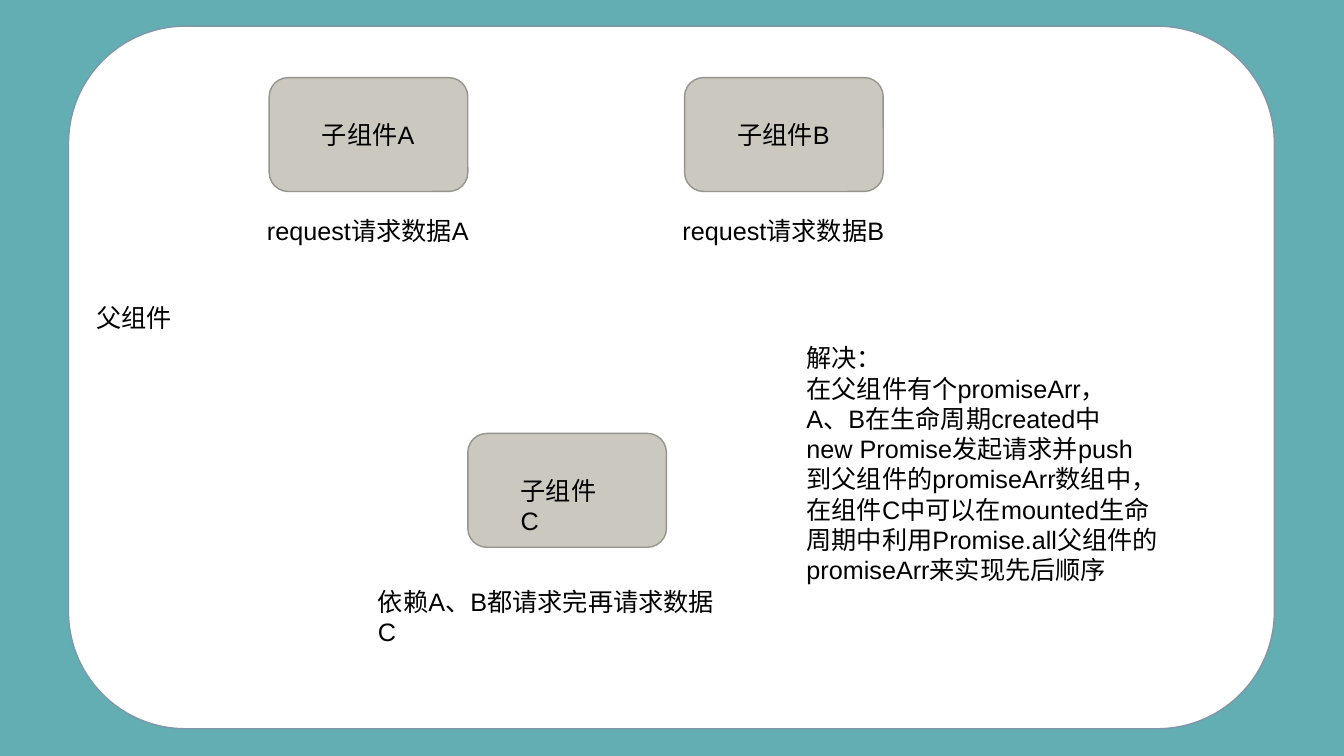
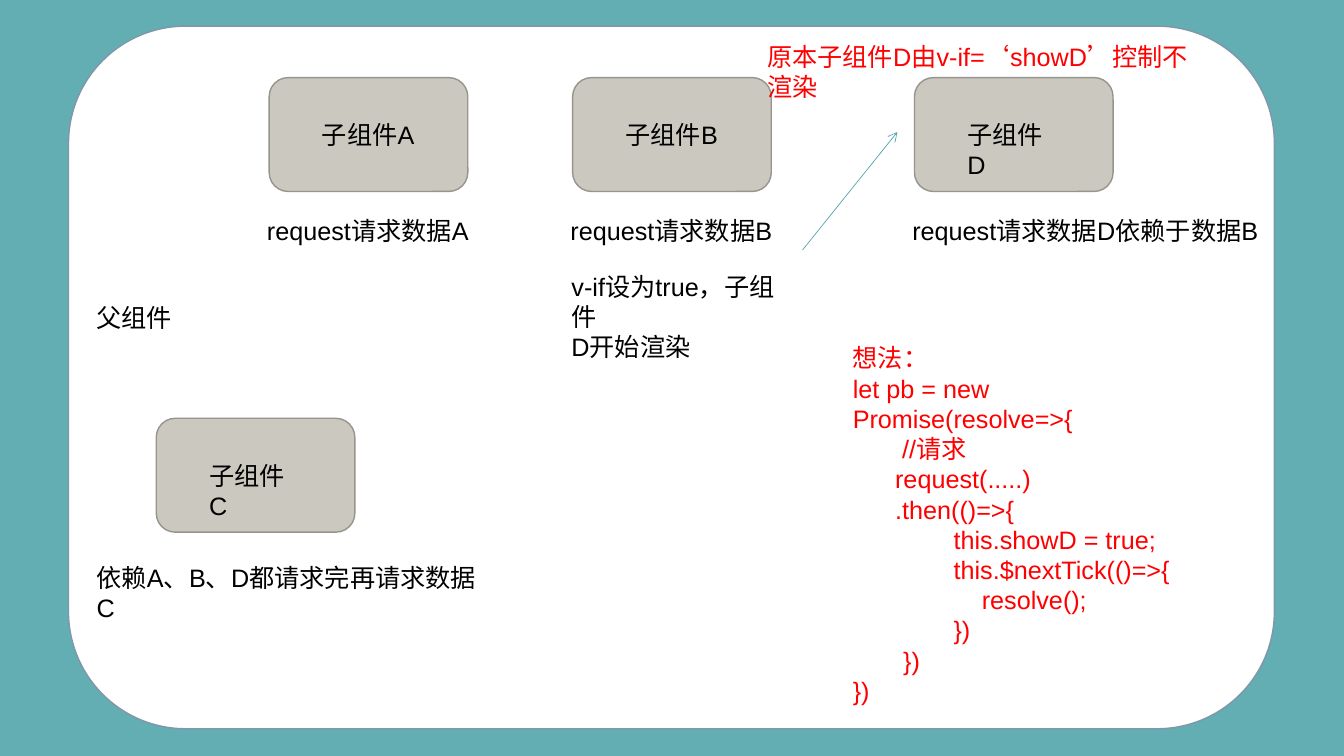
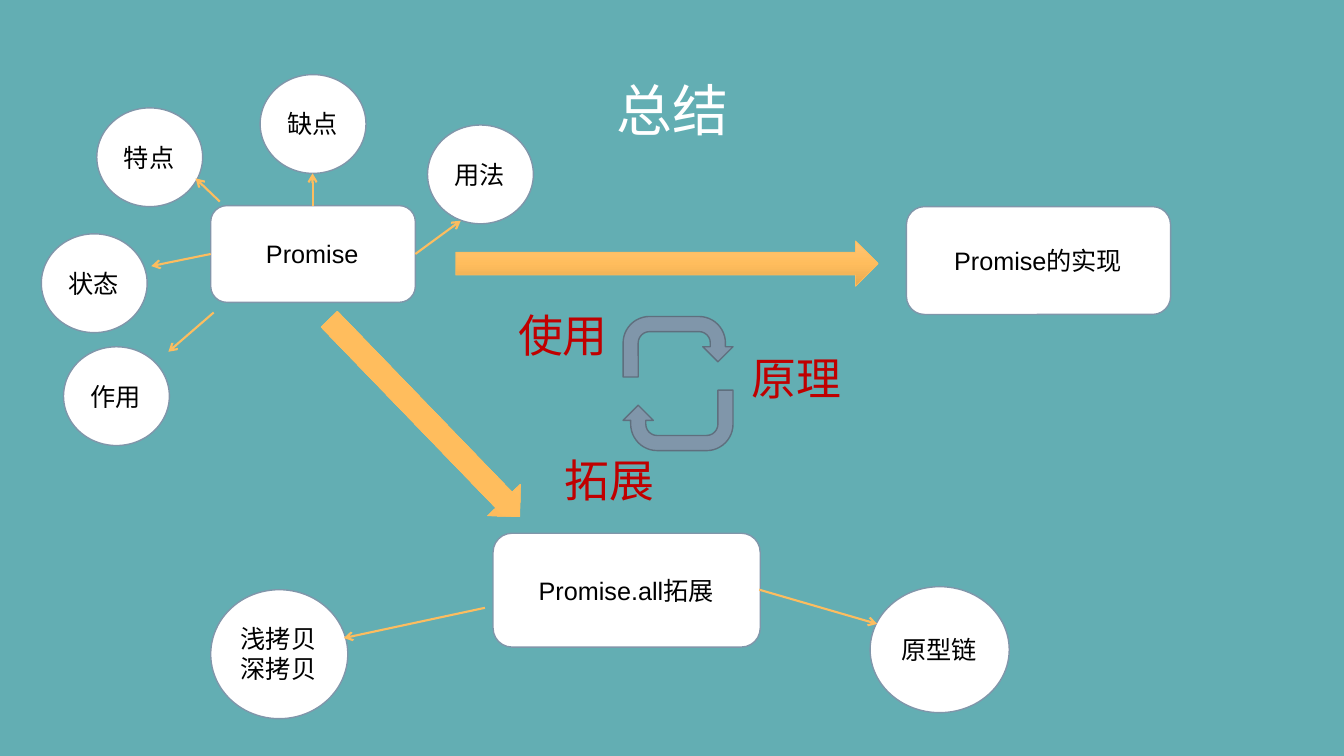
import copy

import pptx
import pptx.dml.color
import pptx.enum.dml
import pptx.enum.shapes
import pptx.enum.text
import pptx.oxml.ns
import pptx.oxml.xmlchemy
import pptx.util

Inches = pptx.util.Inches
Pt = pptx.util.Pt
RGB = pptx.dml.color.RGBColor
SHAPE = pptx.enum.shapes.MSO_SHAPE
ALIGN = pptx.enum.text.PP_ALIGN
ANCHOR = pptx.enum.text.MSO_ANCHOR

TEAL = RGB(0x63, 0xAE, 0xB3)
DEEP_TEAL = RGB(0x53, 0xA6, 0xAC)
WHITE = RGB(0xFF, 0xFF, 0xFF)
BLACK = RGB(0x00, 0x00, 0x00)
RED = RGB(0xFF, 0x00, 0x00)
DARK_RED = RGB(0xC0, 0x00, 0x00)
SLATE = RGB(0x80, 0x96, 0xAA)
DARK_SLATE = RGB(0x5F, 0x6F, 0x7E)
STONE = RGB(0xCB, 0xC8, 0xBF)
DARK_STONE = RGB(0x96, 0x94, 0x8D)
ORANGE = RGB(0xFD, 0xBD, 0x5F)
ARROW_STOPS = [
    (0, RGB(0xFF, 0xC5, 0x76)),
    (0.5, RGB(0xFF, 0xBD, 0x5D)),
    (1, RGB(0xE5, 0xA9, 0x50)),
]

FONT = "Arial"
CHILD_SIZE = (1.97, 1.13)
TOPIC_SIZE = (1.05, 0.98)
LINE_HEIGHT = 0.31


def set_format(target, values):
    for name, value in values.items():
        setattr(target, name, value)


def add_text(slide, box, lines, size=18, color=BLACK, frame={}, para={}, indents=None):
    sp = slide.shapes.add_textbox(*map(Inches, box))
    tf = sp.text_frame
    set_format(tf, {"word_wrap": True, **frame})
    for i, line in enumerate(lines.split("\n")):
        p = tf.add_paragraph() if i else tf.paragraphs[0]
        set_format(p, para)
        if indents and indents[i]:
            p._p.get_or_add_pPr().set("marL", str(Inches(indents[i])))
        r = p.add_run()
        r.text = line
        set_format(r.font, {"name": FONT, "size": Pt(size)})
        r.font.color.rgb = color
    return sp


def add_figure(slide, kind, box, fill=WHITE, line=SLATE, width=1, rotation=0):
    sp = slide.shapes.add_shape(kind, *map(Inches, box))
    sp.shadow.inherit = False
    sp.rotation = rotation
    sp.fill.solid()
    sp.fill.fore_color.rgb = fill
    sp.line.color.rgb = line
    sp.line.width = Pt(width)
    return sp


def add_node(slide, kind, box, label, label_width, **style):
    left, top, width, height = box
    add_figure(slide, kind, box, **style)
    label_height = 0.09 + LINE_HEIGHT * len(label.split("\n"))
    add_text(slide, (left + (width - label_width) / 2, top + (height - label_height) / 2,
                     label_width, label_height), label)


def add_arrow(slide, start, end, color=ORANGE, width=1.5):
    c = slide.shapes.add_connector(pptx.enum.shapes.MSO_CONNECTOR.STRAIGHT,
                                   *map(Inches, start + end))
    c.line.color.rgb = color
    c.line.width = Pt(width)
    tail = c.line._get_or_add_ln().makeelement(pptx.oxml.ns.qn("a:tailEnd"), {"type": "arrow"})
    c.line._get_or_add_ln().append(tail)
    sp_pr = c._element.spPr
    sp_pr.append(sp_pr.makeelement(pptx.oxml.ns.qn("a:effectLst"), {}))


def add_block_arrow(slide, box, rotation=0):
    sp = add_figure(slide, SHAPE.RIGHT_ARROW, box, line=ORANGE, width=0.5, rotation=rotation)
    sp.fill.gradient()
    sp.fill.gradient_angle = 270
    stops = sp._element.spPr.find(".//" + pptx.oxml.ns.qn("a:gsLst"))
    stops.append(copy.deepcopy(stops[-1]))
    for stop, (position, color) in zip(sp.fill.gradient_stops, ARROW_STOPS):
        stop.position = position
        stop.color.rgb = color


def add_parent(slide):
    add_figure(slide, SHAPE.ROUNDED_RECTANGLE, (0.68, 0.26, 11.96, 6.97))
    add_text(slide, (0.86, 2.95, 0.96, 0.4), "父组件")


def add_child(slide, left, top, letter, request, offset=(-0.12, 1.32), width=2.2):
    add_node(slide, SHAPE.ROUNDED_RECTANGLE, (left, top) + CHILD_SIZE, "子组件" + letter, 1.12,
             fill=STONE, line=DARK_STONE)
    add_text(slide, (left + offset[0], top + offset[1], width, 0.4), request)


def build_order_slide(slide):
    add_parent(slide)
    add_child(slide, 2.67, 0.77, "A", "request请求数据A")
    add_child(slide, 6.79, 0.77, "B", "request请求数据B")
    add_child(slide, 4.64, 4.3, "C", "依赖A、B都请求完再请求数据C", (-0.99, 1.47), 3.71)
    add_text(slide, (7.9, 3.35, 4.75, 2.52),
             "解决：\n在父组件有个promiseArr，\nA、B在生命周期created中\n"
             "new Promise发起请求并push\n到父组件的promiseArr数组中，\n"
             "在组件C中可以在mounted生命\n周期中利用Promise.all父组件的\n"
             "promiseArr来实现先后顺序")


def build_render_slide(slide):
    add_parent(slide)
    add_child(slide, 2.67, 0.77, "A", "request请求数据A")
    add_child(slide, 5.68, 0.77, "B", "request请求数据B")
    add_child(slide, 1.55, 4.15, "C", "依赖A、B、D都请求完再请求数据C", (-0.69, 1.38), 4.14)
    add_child(slide, 9.07, 0.77, "D", "request请求数据D依赖于数据B", width=3.67)
    add_text(slide, (7.51, 0.36, 4.48, 0.4), "原本子组件D由v-if=‘showD’控制不渲染", color=RED)
    add_text(slide, (5.57, 2.64, 2.46, 0.71), "v-if设为true，子组件\nD开始渲染")
    add_arrow(slide, (7.96, 2.48), (8.9, 1.31), DEEP_TEAL, 0.5)
    add_text(slide, (8.36, 3.35, 3.8, 3.73),
             "想法：\nlet pb = new Promise(resolve=>{\n//请求\nrequest(.....)\n.then(()=>{\n"
             "this.showD = true;\nthis.$nextTick(()=>{\nresolve();\n})\n})\n})",
             color=RED, indents=[0, 0, 0.49, 0.42, 0.42, 1, 1, 1.28, 1, 0.5, 0])


def build_topics(slide):
    add_node(slide, SHAPE.ROUNDED_RECTANGLE, (2.09, 2.04, 2.03, 0.96), "Promise", 1.13)
    topics = [
        ("作用", (0.63, 3.44), (2.12, 3.1), (1.67, 3.49)),
        ("状态", (0.41, 2.32), (2.09, 2.52), (1.5, 2.64)),
        ("特点", (0.96, 1.07), (2.18, 2), (1.94, 1.77)),
        ("缺点", (2.58, 0.74), (3.1, 2.04), (3.1, 1.72)),
        ("用法", (4.24, 1.24), (4.12, 2.52), (4.57, 2.19)),
    ]
    for label, corner, start, end in topics:
        add_node(slide, SHAPE.OVAL, corner + TOPIC_SIZE, label, 0.71)
        add_arrow(slide, start, end)


def build_extension(slide):
    add_node(slide, SHAPE.ROUNDED_RECTANGLE, (4.89, 5.29, 2.65, 1.13), "Promise.all拓展", 1.94)
    add_node(slide, SHAPE.OVAL, (2.09, 5.85, 1.36, 1.28), "浅拷贝\n深拷贝", 0.96)
    add_arrow(slide, (4.81, 6.03), (3.41, 6.33))
    add_node(slide, SHAPE.OVAL, (8.63, 5.82, 1.38, 1.25), "原型链", 0.96)
    add_arrow(slide, (7.53, 5.85), (8.7, 6.19))


def build_cycle(slide):
    for top, rotation in ((3.14, 0), (3.87, 180)):
        add_figure(slide, SHAPE.U_TURN_ARROW, (6.18, top, 1.09, 0.6),
                   SLATE, DARK_SLATE, rotation=rotation)
    for label, left, top in (("使用", 5.04, 3), ("原理", 7.36, 3.43), ("拓展", 5.5, 4.44)):
        add_text(slide, (left, top, 1.1, 0.64), label, 32, DARK_RED)


def build_summary_slide(slide):
    add_text(slide, (0.96, 0.37, 11.42, 1.5), "总结", 40, WHITE,
             {"vertical_anchor": ANCHOR.MIDDLE},
             {"alignment": ALIGN.CENTER, "line_spacing": 0.9})
    build_topics(slide)
    add_node(slide, SHAPE.ROUNDED_RECTANGLE, (8.99, 2.05, 2.62, 1.07), "Promise的实现", 1.87)
    build_extension(slide)
    add_block_arrow(slide, (4.52, 2.39, 4.19, 0.45))
    add_block_arrow(slide, (2.85, 3.92, 2.72, 0.45), 46)
    build_cycle(slide)


prs = pptx.Presentation()
set_format(prs, {"slide_width": Inches(13.33), "slide_height": Inches(7.5)})
background = prs.slide_master.background.fill
background.solid()
background.fore_color.rgb = TEAL
for build in (build_order_slide, build_render_slide, build_summary_slide):
    build(prs.slides.add_slide(prs.slide_layouts[6]))
prs.save("out.pptx")
